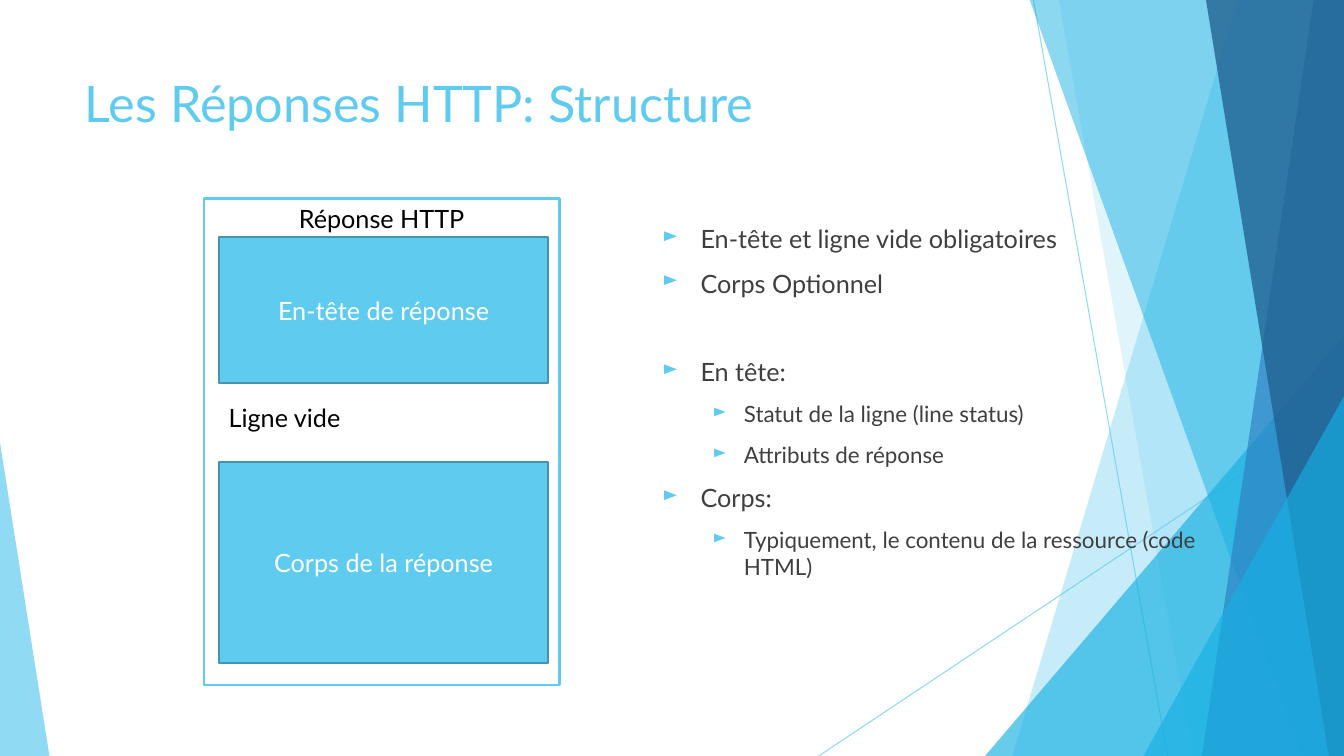
from lxml import etree
from pptx import Presentation
from pptx.dml.color import RGBColor
from pptx.enum.shapes import MSO_CONNECTOR, MSO_SHAPE
from pptx.enum.text import MSO_ANCHOR, MSO_AUTO_SIZE, PP_ALIGN
from pptx.oxml.ns import qn
from pptx.util import Pt

PX = 9144
WIDTH, HEIGHT = 1333, 750
LEFT, CENTER = PP_ALIGN.LEFT, PP_ALIGN.CENTER
TOP, MIDDLE = MSO_ANCHOR.TOP, MSO_ANCHOR.MIDDLE
RECTANGLE, TRIANGLE = MSO_SHAPE.RECTANGLE, MSO_SHAPE.ISOSCELES_TRIANGLE
STRAIGHT = MSO_CONNECTOR.STRAIGHT

SKY = RGBColor(0x5F, 0xCB, 0xEF)
CYAN = RGBColor(0x16, 0xB0, 0xE3)
BLUE = RGBColor(0x2E, 0x83, 0xC3)
NAVY = RGBColor(0x22, 0x62, 0x92)
EDGE = RGBColor(0x45, 0x94, 0xAE)
GRAY = RGBColor(0x3F, 0x3F, 0x3F)
BLACK = RGBColor(0, 0, 0)
WHITE = RGBColor(0xFF, 0xFF, 0xFF)


def set_opacity(shape, percent):
    for color in shape.element.spPr.iter(qn("a:srgbClr")):
        etree.SubElement(color, qn("a:alpha")).set("val", str(percent * 1000))


def write(paragraph, text, size, color, alignment=LEFT):
    paragraph.alignment = alignment
    run = paragraph.add_run()
    run.text = text
    for name, value in {"name": "Lato", "size": Pt(size)}.items():
        setattr(run.font, name, value)
    run.font.color.rgb = color


presentation = Presentation()
presentation.slide_width = WIDTH * PX
presentation.slide_height = HEIGHT * PX
slide = presentation.slides.add_slide(presentation.slide_layouts[5])
shapes = slide.shapes

title = shapes.title
title_format = {"left": 74, "top": 67, "width": 940, "height": 144}
for name, value in title_format.items():
    setattr(title, name, value * PX)
title.text_frame.vertical_anchor = TOP
title.text_frame.auto_size = MSO_AUTO_SIZE.NONE
write(title.text_frame.paragraphs[0], "Les Réponses HTTP: Structure", 36, SKY)

for ends in [(1025, 0, 1158, HEIGHT), (WIDTH, 403, 812, HEIGHT)]:
    ray = shapes.add_connector(STRAIGHT, *[value * PX for value in ends])
    ray.line.color.rgb = SKY
    ray.line.width = Pt(0.75)
    etree.SubElement(ray.element.spPr, qn("a:effectLst"))
    set_opacity(ray, 69)

# band: top x, bottom x; triangle: left, top, width, apex
facets = [
    ("band", (1228, 1004), SKY, 35),
    ("band", (1050, 1183), SKY, 20),
    ("triangle", (977, 333, 356, 1), CYAN, 65),
    ("band", (1021, 1291), CYAN, 49),
    ("band", (1303, 1192), BLUE, 69),
    ("band", (1196, 1318), NAVY, 80),
    ("triangle", (1134, 393, 199, 1), CYAN, 65),
    ("triangle", (0, 439, 49, 0), SKY, 69),
]
for kind, geometry, color, opacity in facets:
    if kind == "band":
        top_x, bottom_x = geometry
        builder = shapes.build_freeform(top_x, -1, scale=PX)
        builder.add_line_segments([(WIDTH, -1), (WIDTH, HEIGHT), (bottom_x, HEIGHT)])
        facet = builder.convert_to_shape()
    else:
        left, top, width, apex = geometry
        facet = shapes.add_shape(TRIANGLE, left * PX, top * PX, width * PX, (HEIGHT - top) * PX)
        facet.adjustments[0] = apex
    facet.shadow.inherit = False
    facet.fill.solid()
    facet.fill.fore_color.rgb = color
    facet.line.fill.background()
    set_opacity(facet, opacity)

body = shapes.add_textbox(647 * PX, 217 * PX, 611 * PX, 493 * PX).text_frame
body.word_wrap = True
levels = [(38, -38, 18), (81, -31, 16)]
bullets = [
    (0, 0, "En-tête et ligne vide obligatoires"),
    (0, 10, "Corps Optionnel"),
    (0, 41.5, "En tête:"),
    (1, 10, "Statut de la ligne (line status)"),
    (1, 10, "Attributs de réponse"),
    (0, 10, "Corps:"),
    (1, 10, "Typiquement, le contenu de la ressource (code HTML)"),
]
for index, (level, space, text) in enumerate(bullets):
    paragraph = body.add_paragraph() if index else body.paragraphs[0]
    margin, indent, size = levels[level]
    paragraph.level = level
    properties = paragraph._p.get_or_add_pPr()
    properties.set("marL", str(margin * PX))
    properties.set("indent", str(indent * PX))
    bullet_color = etree.SubElement(properties, qn("a:buClr"))
    etree.SubElement(bullet_color, qn("a:srgbClr")).set("val", str(SKY))
    etree.SubElement(properties, qn("a:buSzPct")).set("val", "80000")
    etree.SubElement(properties, qn("a:buChar")).set("char", "►")
    paragraph.space_before = Pt(space)
    write(paragraph, text, size, GRAY)

boxes = [
    ("Réponse HTTP", (202, 197, 353, 483), WHITE, SKY, BLACK, TOP),
    ("En-tête de réponse", (217, 235, 327, 145), SKY, EDGE, WHITE, MIDDLE),
    ("Corps de la réponse", (217, 458, 327, 200), SKY, EDGE, WHITE, MIDDLE),
]
for text, place, fill, edge, color, anchor in boxes:
    box = shapes.add_shape(RECTANGLE, *[value * PX for value in place])
    box.shadow.inherit = False
    box.fill.solid()
    box.fill.fore_color.rgb = fill
    box.line.color.rgb = edge
    box.line.width = Pt(1.5)
    box.text_frame.word_wrap = True
    box.text_frame.vertical_anchor = anchor
    write(box.text_frame.paragraphs[0], text, 18, color, CENTER)

empty_line = shapes.add_textbox(217 * PX, 394 * PX, 327 * PX, 40 * PX).text_frame
empty_line.word_wrap = True
empty_line.auto_size = MSO_AUTO_SIZE.SHAPE_TO_FIT_TEXT
write(empty_line.paragraphs[0], "Ligne vide", 18, BLACK)

presentation.save("out.pptx")
